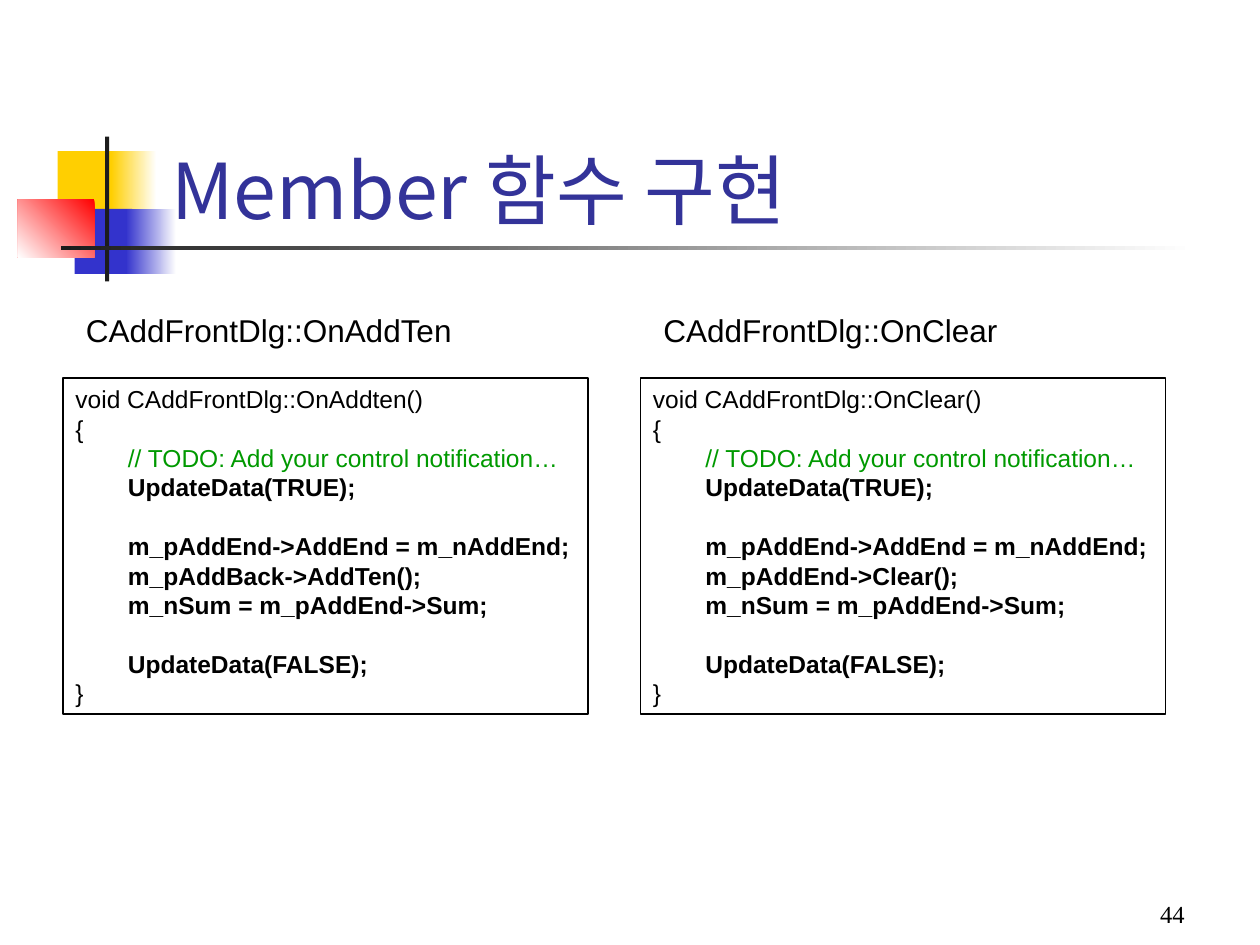
from lxml import etree
from pptx import Presentation
from pptx.dml.color import RGBColor
from pptx.enum import shapes, text
from pptx.oxml.ns import qn
from pptx.util import Inches, Pt

COLORS = {"yellow": "FFCF01", "blue": "3333CC", "red": "FF0000", "white": "FFFFFF",
          "dark": "1C1C1C", "title": "333399", "black": "000000", "comment": "009900"}
CODE_LINE = 16.8

deck = Presentation()
deck.slide_width, deck.slide_height = Inches(10), Inches(7.5)
slide = deck.slides.add_slide(deck.slide_layouts[5])
cell = deck.slide_width / 120


def grid(*cells):
    return [round(n * cell) for n in cells]


def write(paragraph, words, color, **formats):
    run = paragraph.add_run()
    run.text = words
    run.font.color.rgb = RGBColor.from_string(COLORS[color])
    for name, value in formats.items():
        setattr(run.font, name, value)
    return run


ornaments = [
    ((5.5, 14.4, 5.8, 6.2), ["yellow"], 0),
    ((10.6, 14.4, 4.3, 6.2), ["white", "yellow"], 180),
    ((7.1, 19.9, 5.5, 6.2), ["blue"], 0),
    ((12, 19.9, 4.8, 6.2), ["white", "blue"], 180),
    ((1.7, 19, 7.3, 5.5), ["red", "white"], 225),
    ((10, 13, 0.4, 13.8), ["dark"], 0),
    ((5.8, 23.4, 108, 0.4), ["white", "dark"], 180),
]
for place, tones, angle in ornaments:
    ornament = slide.shapes.add_shape(shapes.MSO_SHAPE.RECTANGLE, *grid(*place))
    ornament.shadow.inherit = False
    ornament.line.fill.background()
    if len(tones) == 1:
        ornament.fill.solid()
        ornament.fill.fore_color.rgb = RGBColor.from_string(COLORS[tones[0]])
    else:
        ornament.fill.gradient()
        ornament.fill.gradient_angle = angle
        for stop, tone in zip(ornament.fill.gradient_stops, tones):
            stop.color.rgb = RGBColor.from_string(COLORS[tone])

heading = slide.shapes.title
heading.left, heading.top, heading.width, heading.height = grid(15.1, 8, 102.2, 15)
slide.shapes._spTree.append(heading._element)
heading.text_frame.word_wrap = True
heading.text_frame.auto_size = text.MSO_AUTO_SIZE.NONE
heading.text_frame.vertical_anchor = text.MSO_ANCHOR.BOTTOM
heading_line = heading.text_frame.paragraphs[0]
heading_line.alignment = text.PP_ALIGN.LEFT
heading_run = write(heading_line, "Member 함수 구현", "title", size=Pt(44), name="Noto Sans CJK KR")
etree.SubElement(heading_run.font._element, qn("a:ea"), typeface="Noto Sans CJK KR")

functions = [
    (6, 38.4, "OnAddTen", "OnAddten", "m_pAddBack->AddTen();"),
    (61, 35, "OnClear", "OnClear", "m_pAddEnd->Clear();"),
]
for column, caption_width, label, function, call in functions:
    caption = slide.shapes.add_textbox(*grid(column + 1, 29, caption_width, 4.8)).text_frame
    caption.word_wrap = False
    write(caption.paragraphs[0], f"CAddFrontDlg::{label}", "black", size=Pt(18), name="Arial")

    listing = slide.shapes.add_shape(shapes.MSO_SHAPE.RECTANGLE, *grid(column, 36, 50, 32))
    listing.shadow.inherit = False
    listing.fill.background()
    listing.line.color.rgb = RGBColor.from_string(COLORS["black"])
    listing.line.width = Pt(0.75)
    listing.text_frame.word_wrap = True
    listing.text_frame.vertical_anchor = text.MSO_ANCHOR.TOP
    code = [
        (f"void CAddFrontDlg::{function}()", "black", False, 0, 0),
        ("{", "black", False, 0, 0),
        ("// TODO: Add your control notification…", "comment", False, 5, 0),
        ("UpdateData(TRUE);", "black", True, 5, 0),
        ("m_pAddEnd->AddEnd = m_nAddEnd;", "black", True, 5, 1),
        (call, "black", True, 5, 0),
        ("m_nSum = m_pAddEnd->Sum;", "black", True, 5, 0),
        ("UpdateData(FALSE);", "black", True, 5, 1),
        ("}", "black", False, 0, 0),
    ]
    for number, (words, color, bold, indent, gap) in enumerate(code):
        frame = listing.text_frame
        line = frame.add_paragraph() if number else frame.paragraphs[0]
        layout = {"alignment": text.PP_ALIGN.LEFT, "line_spacing": Pt(CODE_LINE),
                  "space_before": Pt(gap * CODE_LINE)}
        for name, value in layout.items():
            setattr(line, name, value)
        line._p.get_or_add_pPr().set("marL", str(grid(indent)[0]))
        write(line, words, color, size=Pt(14), name="Arial", bold=bold)

page = slide.shapes.add_textbox(*grid(89, 83, 25, 6)).text_frame
page.word_wrap = True
page.vertical_anchor = text.MSO_ANCHOR.BOTTOM
page.paragraphs[0].alignment = text.PP_ALIGN.RIGHT
write(page.paragraphs[0], "44", "black", size=Pt(14), name="Times New Roman")

deck.save("out.pptx")
